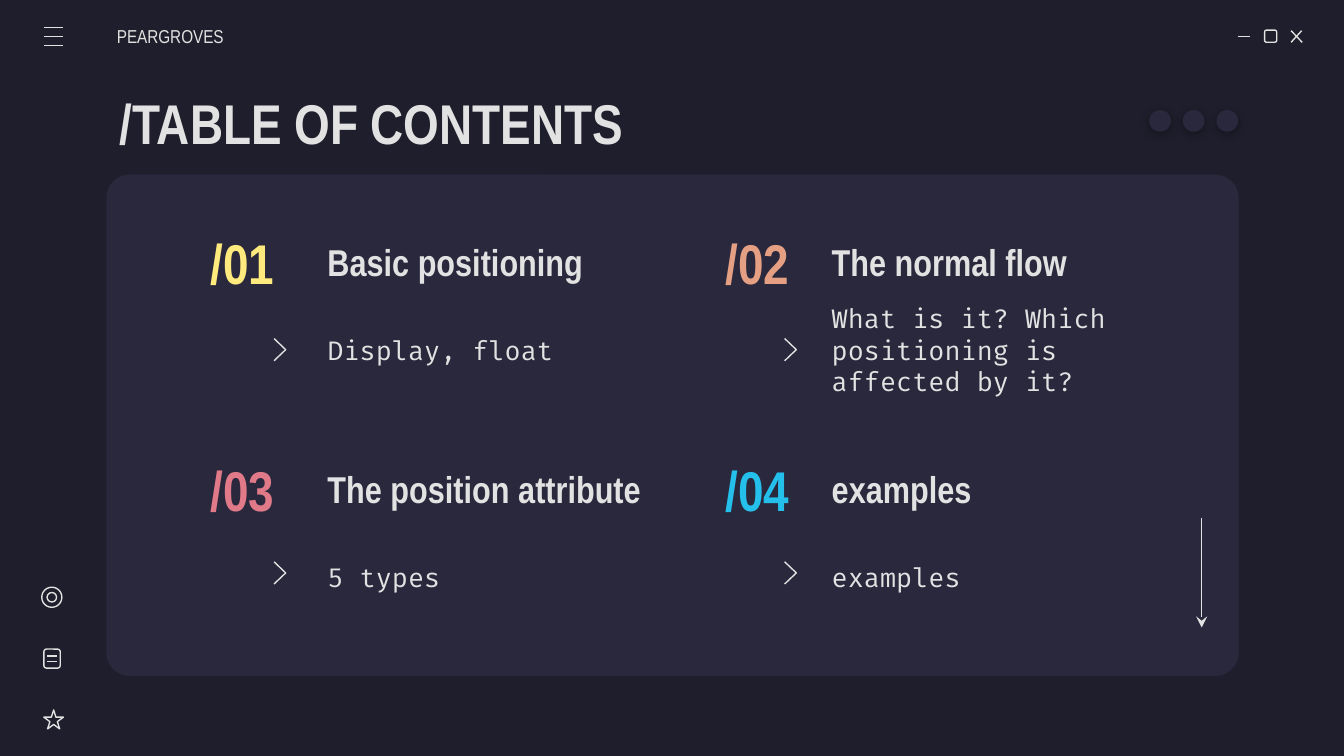
from lxml.etree import SubElement
from pptx import Presentation
from pptx.dml.color import RGBColor
from pptx.enum.shapes import MSO_CONNECTOR, MSO_SHAPE
from pptx.enum.text import MSO_ANCHOR, PP_ALIGN
from pptx.oxml.ns import qn
from pptx.util import Cm, Pt

NIGHT = RGBColor(0x1E, 0x1E, 0x2C)
PANEL = RGBColor(0x29, 0x28, 0x3D)
LIGHT = RGBColor(0xE2, 0xE2, 0xE2)
YELLOW = RGBColor(0xFF, 0xEA, 0x7D)
ORANGE = RGBColor(0xE5, 0xA0, 0x83)
PINK = RGBColor(0xE0, 0x7A, 0x88)
BLUE = RGBColor(0x24, 0xBF, 0xEB)

HEAD_FONT = "Arial Narrow"
BODY_FONT = "Fira Code"

# Left edges of number, chevron and text for each column; top of each row
COLUMNS = [(3.43, 5.18, 5.94), (13.16, 14.83, 15.47)]
ROWS = [4.24, 8.53]
CHEVRON_TOPS = [6.4, 10.62]
SECTIONS = [
    ("/01", YELLOW, "Basic positioning", "Display, float"),
    ("/02", ORANGE, "The normal flow",
     "What is it? Which positioning is affected by it?"),
    ("/03", PINK, "The position attribute", "5 types"),
    ("/04", BLUE, "examples", "examples"),
]


def add_text(page, text, left, top, width, height, size, font=HEAD_FONT,
             color=LIGHT, bold=False, align=PP_ALIGN.LEFT, inset=0.25):
    box = page.shapes.add_textbox(Cm(left), Cm(top), Cm(width), Cm(height))
    frame = box.text_frame
    frame.word_wrap = True
    frame.vertical_anchor = MSO_ANCHOR.MIDDLE
    frame.margin_left = Cm(inset)
    frame.margin_right = frame.margin_top = frame.margin_bottom = Cm(0.25)
    para = frame.paragraphs[0]
    para.text = text
    para.alignment = align
    para.font.name = font
    para.font.size = Pt(size)
    para.font.bold = bold
    para.font.color.rgb = color


def add_filled(page, kind, left, top, width, height):
    shape = page.shapes.add_shape(kind, Cm(left), Cm(top), Cm(width), Cm(height))
    shape.shadow.inherit = False
    shape.fill.solid()
    shape.fill.fore_color.rgb = PANEL
    shape.line.fill.background()
    return shape


def style_outline(shape):
    shape.shadow.inherit = False
    shape.fill.background()
    shape.line.color.rgb = LIGHT
    shape.line.width = Pt(0.75)


def add_outline(page, kind, left, top, width, height):
    shape = page.shapes.add_shape(kind, Cm(left), Cm(top), Cm(width), Cm(height))
    style_outline(shape)


def add_line(page, x1, y1, x2, y2):
    line = page.shapes.add_connector(
        MSO_CONNECTOR.STRAIGHT, Cm(x1), Cm(y1), Cm(x2), Cm(y2))
    line.line.color.rgb = LIGHT
    line.line.width = Pt(0.75)
    SubElement(line._element.spPr, qn("a:effectLst"))
    return line


def add_chevron(page, left, top):
    builder = page.shapes.build_freeform(Cm(left), Cm(top))
    builder.add_line_segments(
        [(Cm(left + 0.22), Cm(top + 0.21)), (Cm(left), Cm(top + 0.42))],
        close=False)
    style_outline(builder.convert_to_shape())


def add_dot(page, left):
    """Add a round dot with a soft shadow below it."""
    dot = add_filled(page, MSO_SHAPE.OVAL, left, 2.08, 0.41, 0.41)
    effects = dot._element.spPr.find(qn("a:effectLst"))
    shadow = SubElement(effects, qn("a:outerShdw"), blurRad=str(Pt(4.5)),
                        dist=str(Pt(1.5)), dir="5400000", algn="bl",
                        rotWithShape="0")
    color = SubElement(shadow, qn("a:srgbClr"), val="000000")
    SubElement(color, qn("a:alpha"), val="29000")


def add_window_buttons(page):
    add_line(page, 23.39, 0.69, 23.62, 0.69)
    add_outline(page, MSO_SHAPE.ROUNDED_RECTANGLE, 23.9, 0.57, 0.23, 0.23)
    add_line(page, 24.4, 0.58, 24.61, 0.8)
    add_line(page, 24.6, 0.58, 24.4, 0.8)


def add_menu_icon(page):
    for row in range(3):
        y = 0.52 + 0.17 * row
        add_line(page, 0.83, y, 1.2, y)


def add_side_icons(page):
    add_outline(page, MSO_SHAPE.OVAL, 0.79, 11.1, 0.38, 0.38)
    add_outline(page, MSO_SHAPE.OVAL, 0.89, 11.2, 0.18, 0.18)
    add_outline(page, MSO_SHAPE.ROUNDED_RECTANGLE, 0.83, 12.27, 0.31, 0.36)
    for y in (12.4, 12.5):
        add_line(page, 0.89, y, 1.07, y)
    add_outline(page, MSO_SHAPE.STAR_5_POINT, 0.83, 13.42, 0.37, 0.36)


def add_down_arrow(page):
    arrow = add_line(page, 22.71, 9.8, 22.71, 11.86)
    outline = arrow.line._get_or_add_ln()
    SubElement(outline, qn("a:tailEnd"), type="stealth")


def add_section(page, index, number, color, heading, detail):
    row, column = divmod(index, 2)
    number_left, chevron_left, text_left = COLUMNS[column]
    top = ROWS[row]
    add_text(page, number, number_left, top, 2.31, 1.42, 30, color=color,
             bold=True, align=PP_ALIGN.CENTER)
    add_text(page, heading, text_left, top, 7.4, 1.42, 20, bold=True)
    add_text(page, detail, text_left, top + 1.42, 6.5, 1.9, 14, font=BODY_FONT)
    add_chevron(page, chevron_left, CHEVRON_TOPS[row])


def main():
    deck = Presentation()
    deck.slide_width, deck.slide_height = Cm(25.4), Cm(14.29)
    page = deck.slides.add_slide(deck.slide_layouts[6])
    page.background.fill.solid()
    page.background.fill.fore_color.rgb = NIGHT

    card = add_filled(page, MSO_SHAPE.ROUNDED_RECTANGLE, 2.01, 3.3, 21.4, 9.48)
    card.adjustments[0] = 0.047
    add_window_buttons(page)
    for index, section in enumerate(SECTIONS):
        add_section(page, index, *section)
    add_text(page, "/TABLE OF CONTENTS", 2.01, 1.5, 21.4, 1.6, 30, bold=True)
    add_menu_icon(page)
    add_side_icons(page)
    add_down_arrow(page)
    for step in range(3):
        add_dot(page, 21.72 + 0.635 * step)
    add_text(page, "PEARGROVES", 2.21, 0.31, 2.97, 0.76, 10, inset=0)
    deck.save("out.pptx")


if __name__ == "__main__":
    main()
